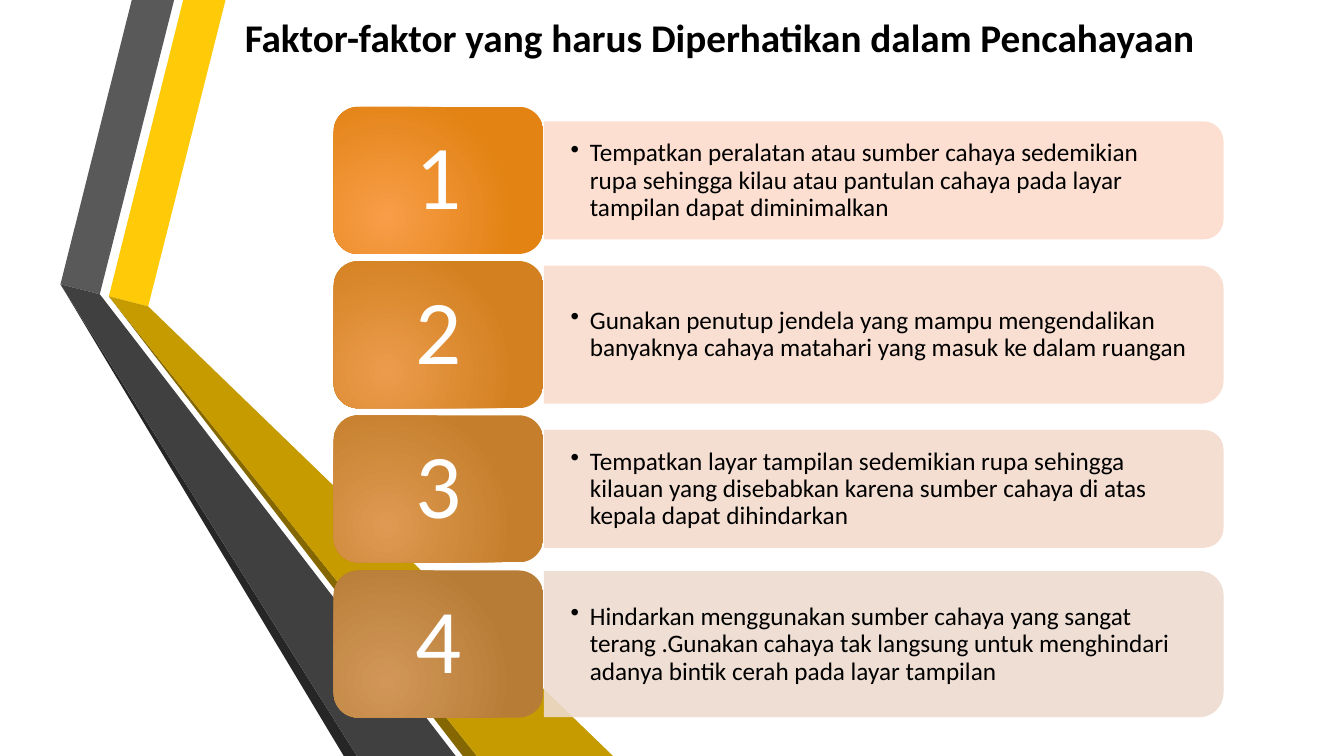
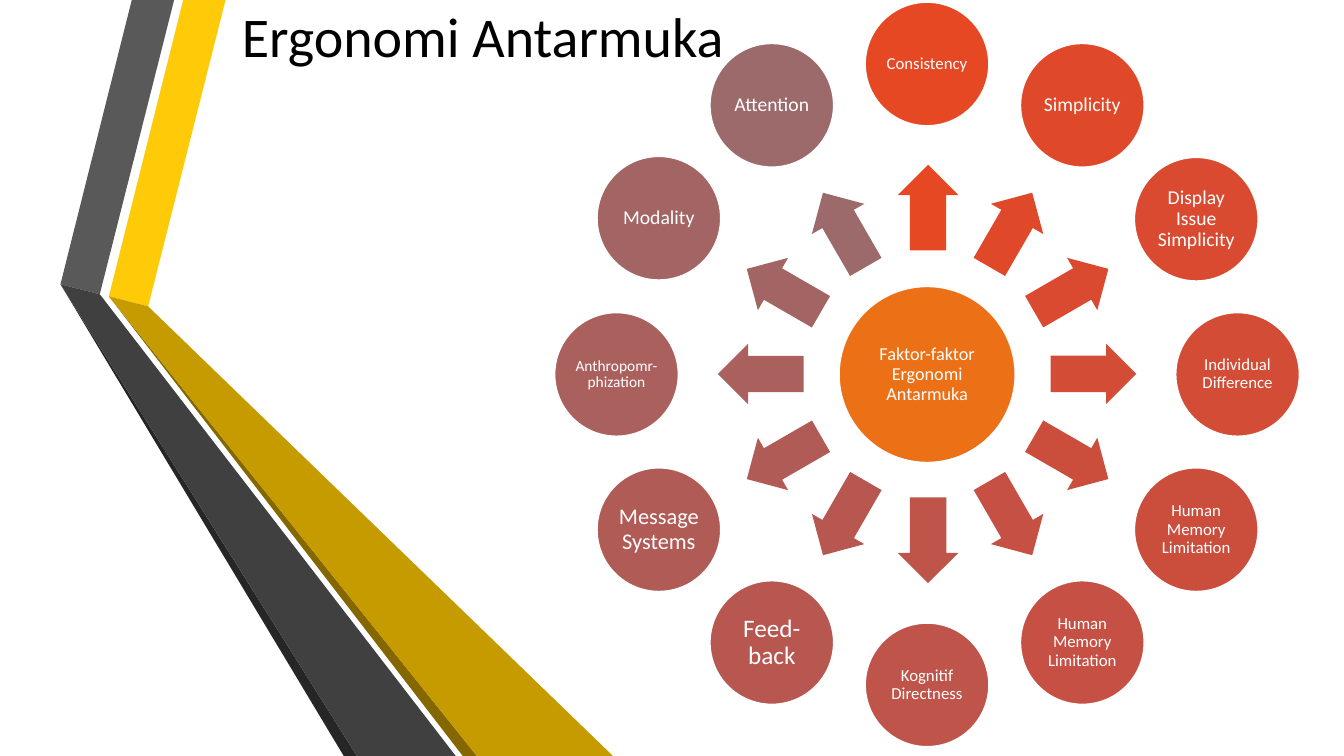
from math import cos, radians, sin

from lxml.etree import SubElement
from pptx import Presentation
from pptx.dml.color import RGBColor
from pptx.enum.shapes import MSO_SHAPE as Shape
from pptx.enum.text import MSO_ANCHOR as Anchor, PP_ALIGN as Align
from pptx.oxml.ns import qn
from pptx.util import Pt

PX = 9144  # 100 px to the inch
FONT = "Calibri"
BLACK, WHITE = "000000", "FFFFFF"
rgb = RGBColor.from_string


def paint(shape, fill):
    """Give a shape a flat fill, without shadow or outline."""
    shape.shadow.inherit = False
    shape.fill.solid()
    shape.fill.fore_color.rgb = rgb(fill)
    shape.line.fill.background()


def write(shape, text, size, color, align, anchor, inset=(10, 5), spacing=0.9, bold=False):
    """Write one paragraph into a shape and return it."""
    frame = shape.text_frame
    frame.word_wrap = True
    frame.vertical_anchor = anchor
    frame.margin_left = frame.margin_right = inset[0] * PX
    frame.margin_top = frame.margin_bottom = inset[1] * PX
    paragraph = frame.paragraphs[0]
    paragraph.alignment = align
    paragraph.line_spacing = spacing
    run = paragraph.add_run()
    run.text = text
    run.font.name = FONT
    run.font.size = Pt(size)
    run.font.bold = bold
    run.font.color.rgb = rgb(color)
    return paragraph


presentation = Presentation()
presentation.slide_width = 1333 * PX
presentation.slide_height = 750 * PX
layout = presentation.slide_layouts[6]
for placeholder in list(layout.placeholders):
    layout.shapes.element.remove(placeholder.element)
factors_slide = presentation.slides.add_slide(layout)
interface_slide = presentation.slides.add_slide(layout)

# Folded ribbons, shared through the layout
RIBBONS = [
    ("FFCA08", [(108, 294), (147, 304), (224, -1), (182, -1)]),
    ("595959", [(99, 292), (173, -1), (131, -1), (60, 282)]),
    ("262626", [(60, 282), (341, 750), (354, 750)]),
    ("846700", [(473, 750), (108, 294), (459, 750)]),
    ("C59B00", [(108, 294), (473, 750), (608, 750), (147, 304)]),
    ("404040", [(452, 750), (106, 301), (99, 292), (60, 282), (354, 750)]),
]
for fill, points in RIBBONS:
    builder = factors_slide.shapes.build_freeform(*points[0], scale=PX)
    builder.add_line_segments(points[1:], close=True)
    ribbon = builder.convert_to_shape()
    paint(ribbon, fill)
    layout.shapes.element.append(ribbon.element)

# Titles
TITLES = [
    (factors_slide, "Faktor-faktor yang harus Diperhatikan dalam Pencahayaan",
     (233, 3, 1100, 62), 28, True),
    (interface_slide, "Ergonomi Antarmuka", (230, 1, 785, 72), 40, False),
]
for slide, text, box, size, bold in TITLES:
    title = slide.shapes.add_textbox(*(length * PX for length in box))
    write(title, text, size, BLACK, Align.JUSTIFY, Anchor.BOTTOM, spacing=1, bold=bold)

# Slide 1: numbered lighting factors
NUMBER_LEFT, NUMBER_TOP, NUMBER_WIDTH, NUMBER_HEIGHT = 331, 106, 208, 146
BAR_LEFT, BAR_WIDTH = NUMBER_LEFT + NUMBER_WIDTH, 674
FACTORS = [
    ("Tempatkan peralatan atau sumber cahaya sedemikian rupa sehingga kilau atau "
     "pantulan cahaya pada layar tampilan dapat diminimalkan",
     117, "FCDCCD", "F99D49", "E28314"),
    ("Gunakan penutup jendela yang mampu mengendalikan banyaknya cahaya matahari "
     "yang masuk ke dalam ruangan",
     137, "F8DCCD", "EC9B4D", "D38120"),
    ("Tempatkan layar tampilan sedemikian rupa sehingga kilauan yang disebabkan "
     "karena sumber cahaya di atas kepala dapat dihindarkan",
     117, "F3DBCD", "DF9952", "C57F2C"),
    ("Hindarkan menggunakan sumber cahaya yang sangat terang .Gunakan cahaya tak "
     "langsung untuk menghindari adanya bintik cerah pada layar tampilan",
     145, "EDDBCF", "D29758", "B77D37"),
]
shapes = factors_slide.shapes
for index, (text, height, bar_fill, inner, outer) in enumerate(FACTORS):
    top = NUMBER_TOP + 460 * index // 3
    middle = top + NUMBER_HEIGHT // 2

    # Bar, turned so that its rounded corners face right
    bar = shapes.add_shape(
        Shape.ROUND_2_SAME_RECTANGLE,
        (BAR_LEFT + BAR_WIDTH // 2 - height // 2) * PX, (middle - BAR_WIDTH // 2) * PX,
        height * PX, BAR_WIDTH * PX)
    bar.rotation = 90
    paint(bar, bar_fill)
    bar_color = bar.element.spPr.find(qn("a:solidFill")).find(qn("a:srgbClr"))
    SubElement(bar_color, qn("a:alpha"), val="90000")

    # Bulleted text on the bar
    label = shapes.add_textbox(
        BAR_LEFT * PX, (middle - height // 2) * PX, 669 * PX, height * PX)
    paragraph = write(label, text, 18, BLACK, Align.LEFT, Anchor.MIDDLE, (27, 14))
    properties = paragraph._p.get_or_add_pPr()
    properties.set("marL", str(19 * PX))
    properties.set("indent", str(-19 * PX))
    SubElement(properties, qn("a:buChar"), char="•")

    # Number box with a radial gradient
    number = shapes.add_shape(
        Shape.ROUNDED_RECTANGLE,
        NUMBER_LEFT * PX, top * PX, NUMBER_WIDTH * PX, NUMBER_HEIGHT * PX)
    paint(number, outer)
    number.fill.gradient()
    for stop, color in zip(number.fill.gradient_stops, (inner, outer)):
        stop.color.rgb = rgb(color)
    gradient = number.element.spPr.find(qn("a:gradFill"))
    gradient.remove(gradient.find(qn("a:lin")))
    gradient_path = SubElement(gradient, qn("a:path"), path="circle")
    SubElement(gradient_path, qn("a:fillToRect"),
               l="50000", t="100000", r="100000", b="50000")
    write(number, str(index + 1), 65, WHITE, Align.CENTER, Anchor.MIDDLE, (27, 14))

# Slide 2: interface factors around a hub, clockwise from the top
CENTER_X, CENTER_Y = 920, 371
RING_RADIUS, ARROW_RADIUS = 308, 165
ARROW_WIDTH, ARROW_HEIGHT = 85, 60
HUB_SIZE, NODE_SIZE = 175, 123
NODES = [
    ("Consistency", 12, "E64823"),
    ("Simplicity", 14, "DF4929"),
    ("Display Issue Simplicity", 14, "D94A30"),
    ("Individual Difference", 12, "D24C36"),
    ("Human Memory Limitation", 12, "CB4E3D"),
    ("Human Memory Limitation", 12, "C55043"),
    ("Kognitif Directness", 12, "BE544A"),
    ("Feed-back", 18, "B75750"),
    ("Message Systems", 16, "B05B56"),
    ("Anthropomr-phization", 11, "AA605D"),
    ("Modality", 14, "A36563"),
    ("Attention", 14, "9C6A6A"),
]
shapes = interface_slide.shapes
circles = [("Faktor-faktor Ergonomi Antarmuka", 13, "EC7016", CENTER_X, CENTER_Y, HUB_SIZE)]

# Arrows
for index, (text, size, fill) in enumerate(NODES):
    angle = index * 360 / len(NODES) - 90
    across, down = cos(radians(angle)), sin(radians(angle))
    arrow = shapes.add_shape(
        Shape.RIGHT_ARROW,
        round(CENTER_X + ARROW_RADIUS * across - ARROW_WIDTH / 2) * PX,
        round(CENTER_Y + ARROW_RADIUS * down - ARROW_HEIGHT / 2) * PX,
        ARROW_WIDTH * PX, ARROW_HEIGHT * PX)
    arrow.adjustments[0] = 0.6
    arrow.rotation = angle % 360
    paint(arrow, fill)
    circles.append((text, size, fill, CENTER_X + RING_RADIUS * across,
                    CENTER_Y + RING_RADIUS * down, NODE_SIZE))

# Hub and nodes
for text, size, fill, x, y, diameter in circles:
    circle = shapes.add_shape(
        Shape.OVAL, round(x - diameter / 2) * PX, round(y - diameter / 2) * PX,
        diameter * PX, diameter * PX)
    paint(circle, fill)
    circle.line.color.rgb = rgb(WHITE)
    circle.line.width = Pt(1.25)
    write(circle, text, size, WHITE, Align.CENTER, Anchor.MIDDLE, (2, 2))

presentation.save("out.pptx")
